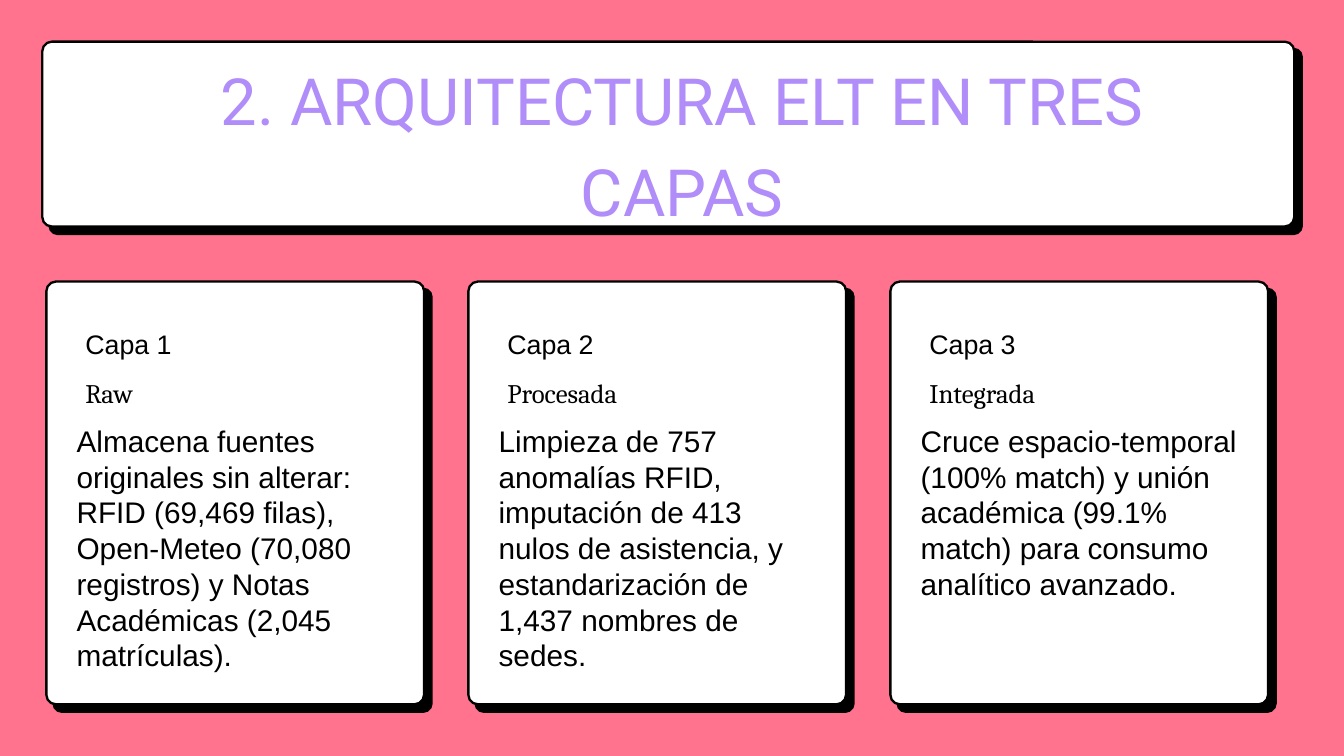
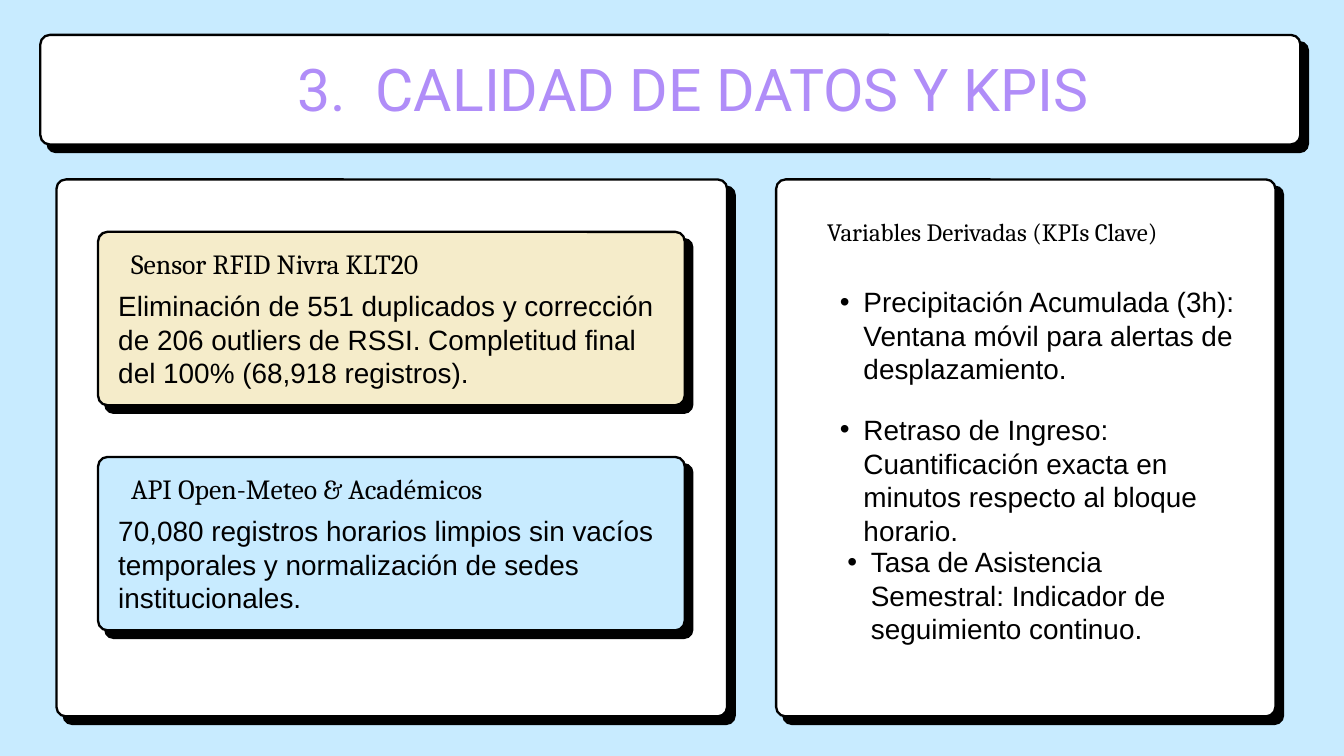
from lxml import etree
from pptx import Presentation
from pptx.dml.color import RGBColor
from pptx.enum.shapes import MSO_SHAPE
from pptx.enum.text import MSO_AUTO_SIZE, PP_ALIGN
from pptx.oxml.ns import qn
from pptx.util import Inches, Pt

ROUNDED = MSO_SHAPE.ROUNDED_RECTANGLE
GROW = MSO_AUTO_SIZE.SHAPE_TO_FIT_TEXT
LEFT, CENTER = PP_ALIGN.LEFT, PP_ALIGN.CENTER

# Shared grid: 20 columns across the slide, rows of the same size
SLIDE_WIDTH, SLIDE_HEIGHT = Inches(20), Inches(11.25)
CELL = SLIDE_WIDTH / 20

# Shared colours and fonts
PINK, SKY, CREAM = "FF738E", "C8EBFF", "F5ECCA"
WHITE, BLACK, PURPLE = "FFFFFF", "000000", "B08DF8"
BODY_FONT, LABEL_FONT, TITLE_FONT = "Arial", "Cambria", "Roboto"

# Shared card style
BORDER = 0.04
SHADOW_OFFSET = 0.11
CORNER = 0.14
BORDER_POINTS = 2.5

LAYERS = [
    ("Capa 1", "Raw",
     "Almacena fuentes originales sin alterar: RFID (69,469 filas), Open-Meteo "
     "(70,080 registros) y Notas Académicas (2,045 matrículas)."),
    ("Capa 2", "Procesada",
     "Limpieza de 757 anomalías RFID, imputación de 413 nulos de asistencia, y "
     "estandarización de 1,437 nombres de sedes."),
    ("Capa 3", "Integrada",
     "Cruce espacio-temporal (100% match) y unión académica (99.1% match) para "
     "consumo analítico avanzado."),
]
SOURCES = [
    ("Sensor RFID Nivra KLT20", CREAM,
     "Eliminación de 551 duplicados y corrección de 206 outliers de RSSI. "
     "Completitud final del 100% (68,918 registros)."),
    ("API Open-Meteo & Académicos", SKY,
     "70,080 registros horarios limpios sin vacíos temporales y normalización "
     "de sedes institucionales."),
]
KPIS = [
    (12.14, 4.24, "Precipitación Acumulada (3h): Ventana móvil para alertas de "
                  "desplazamiento."),
    (12.14, 6.14, "Retraso de Ingreso: Cuantificación exacta en minutos respecto "
                  "al bloque horario."),
    (12.25, 8.11, "Tasa de Asistencia Semestral: Indicador de seguimiento continuo."),
]


def color(hex_code):
    return RGBColor.from_string(hex_code)


def grid(*cells):
    return [round(cell * CELL) for cell in cells]


def add_slide(presentation, background):
    slide = presentation.slides.add_slide(presentation.slide_layouts[6])
    slide.background.fill.solid()
    slide.background.fill.fore_color.rgb = color(background)
    return slide


def add_rounded(slide, left, top, width, height, fill):
    shape = slide.shapes.add_shape(ROUNDED, *grid(left, top, width, height))
    shape.adjustments[0] = CORNER / min(width, height)
    shape.shadow.inherit = False
    shape.fill.solid()
    shape.fill.fore_color.rgb = color(fill)
    return shape


def add_card(slide, left, top, width, height, fill=WHITE):
    """Bordered card with a hard black shadow to the lower right."""
    shadow = add_rounded(slide, left - BORDER + SHADOW_OFFSET,
                         top - BORDER + SHADOW_OFFSET,
                         width + 2 * BORDER, height + 2 * BORDER, BLACK)
    shadow.line.fill.background()
    front = add_rounded(slide, left - BORDER / 2, top - BORDER / 2,
                        width + BORDER, height + BORDER, fill)
    front.line.color.rgb = color(BLACK)
    front.line.width = Pt(BORDER_POINTS)


def add_bullet(paragraph):
    properties = paragraph._p.get_or_add_pPr()
    properties.set("marL", str(Inches(0.71)))
    properties.set("indent", str(Inches(-0.35)))
    etree.SubElement(properties, qn("a:buFont")).set("typeface", BODY_FONT)
    etree.SubElement(properties, qn("a:buChar")).set("char", "•")


def add_text(slide, text, left, top, width, height, size, spacing,
             font=BODY_FONT, ink=BLACK, align=LEFT, bullet=False):
    box = slide.shapes.add_textbox(*grid(left, top, width, height))
    frame = box.text_frame
    frame.word_wrap = True
    frame.auto_size = GROW
    frame.margin_left = frame.margin_right = 0
    frame.margin_top = frame.margin_bottom = 0
    paragraph = frame.paragraphs[0]
    if bullet:
        paragraph.level = 1
        add_bullet(paragraph)
    paragraph.alignment = align
    paragraph.line_spacing = Pt(spacing)
    run = paragraph.add_run()
    run.text = text
    run.font.name = font
    run.font.size = Pt(size)
    run.font.color.rgb = color(ink)


def add_title(slide, text, left, top, width, height, size):
    add_text(slide, text, left, top, width, height, size, 1.4 * size,
             TITLE_FONT, PURPLE, CENTER)


def add_layer(slide, left, name, kind, description):
    add_card(slide, left, 4.21, 5.58, 6.25)
    add_text(slide, name, left + 0.56, 4.8, 4.04, 0.55, 28.7, 40.1)
    add_text(slide, kind, left + 0.56, 5.52, 4.04, 0.53, 28.7, 40.1, LABEL_FONT)
    add_text(slide, description, left + 0.43, 6.29, 4.8, 3.2, 31.9, 38.3)


def add_source(slide, top, name, fill, description):
    add_card(slide, 1.48, top, 8.69, 2.54, fill)
    add_text(slide, name, 1.95, top + 0.12, 5.91, 0.55, 29.7, 41.5, LABEL_FONT)
    add_text(slide, description, 1.76, top + 0.83, 8.24, 1.48, 29.9, 35.9)


def build_architecture(presentation):
    slide = add_slide(presentation, PINK)
    add_card(slide, 0.65, 0.64, 18.59, 2.71)
    add_title(slide, "2. ARQUITECTURA ELT EN TRES CAPAS",
              3.22, 0.71, 13.86, 2.67, 69.7)
    for index, layer in enumerate(LAYERS):
        add_layer(slide, 0.71 + 6.28 * index, *layer)


def build_quality(presentation):
    slide = add_slide(presentation, SKY)
    add_card(slide, 0.62, 0.54, 18.71, 1.59)
    add_title(slide, "3.  CALIDAD DE DATOS Y KPIS", 2.79, 0.61, 15.06, 1.19, 63.1)

    # Data sources panel
    add_card(slide, 0.86, 2.69, 9.94, 7.95)
    for index, source in enumerate(SOURCES):
        add_source(slide, 3.47 + 3.35 * index, *source)

    # Derived variables panel
    add_card(slide, 11.57, 2.69, 7.39, 7.95)
    add_text(slide, "Variables Derivadas (KPIs Clave)",
             12.31, 3.15, 5.91, 0.5, 26.7, 37.3, LABEL_FONT)
    for left, top, text in KPIS:
        add_text(slide, text, left, top, 6.24, 1.48, 29.9, 35.9, bullet=True)


def main():
    presentation = Presentation()
    presentation.slide_width = SLIDE_WIDTH
    presentation.slide_height = SLIDE_HEIGHT
    build_architecture(presentation)
    build_quality(presentation)
    presentation.save("out.pptx")


if __name__ == "__main__":
    main()
